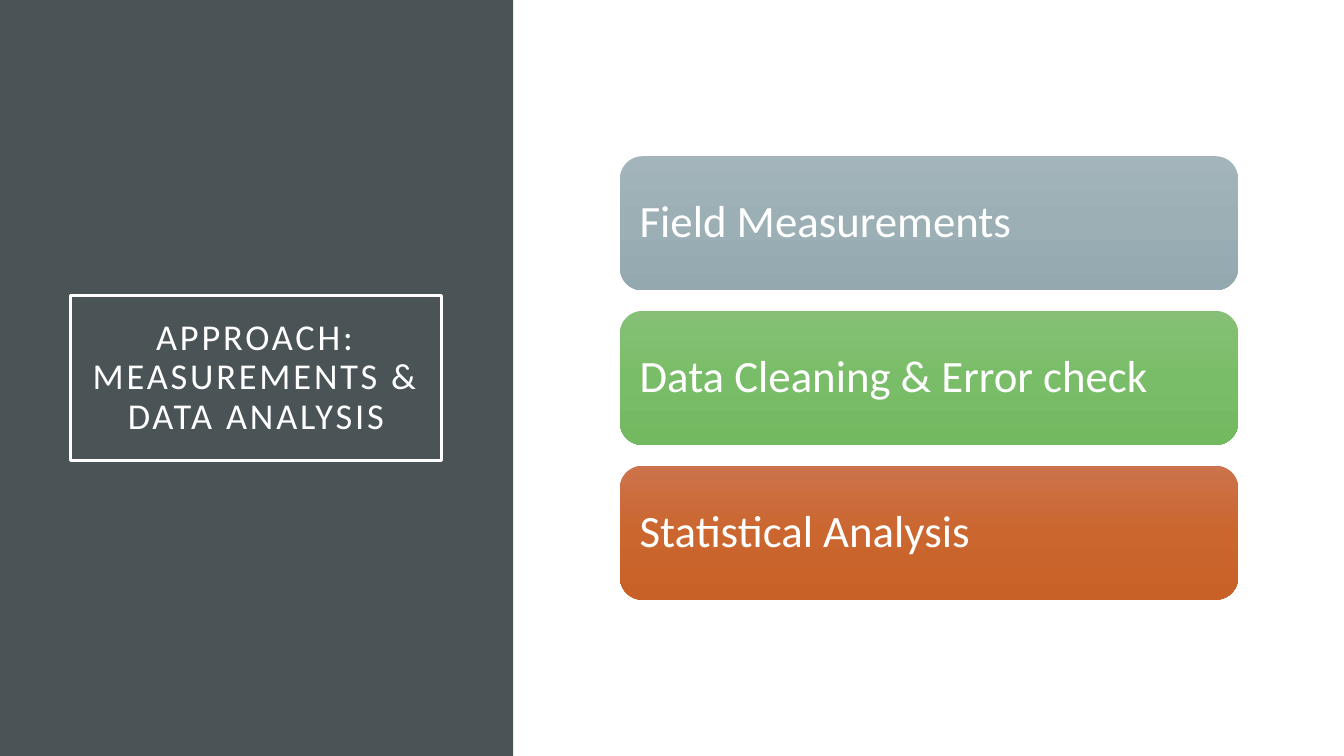
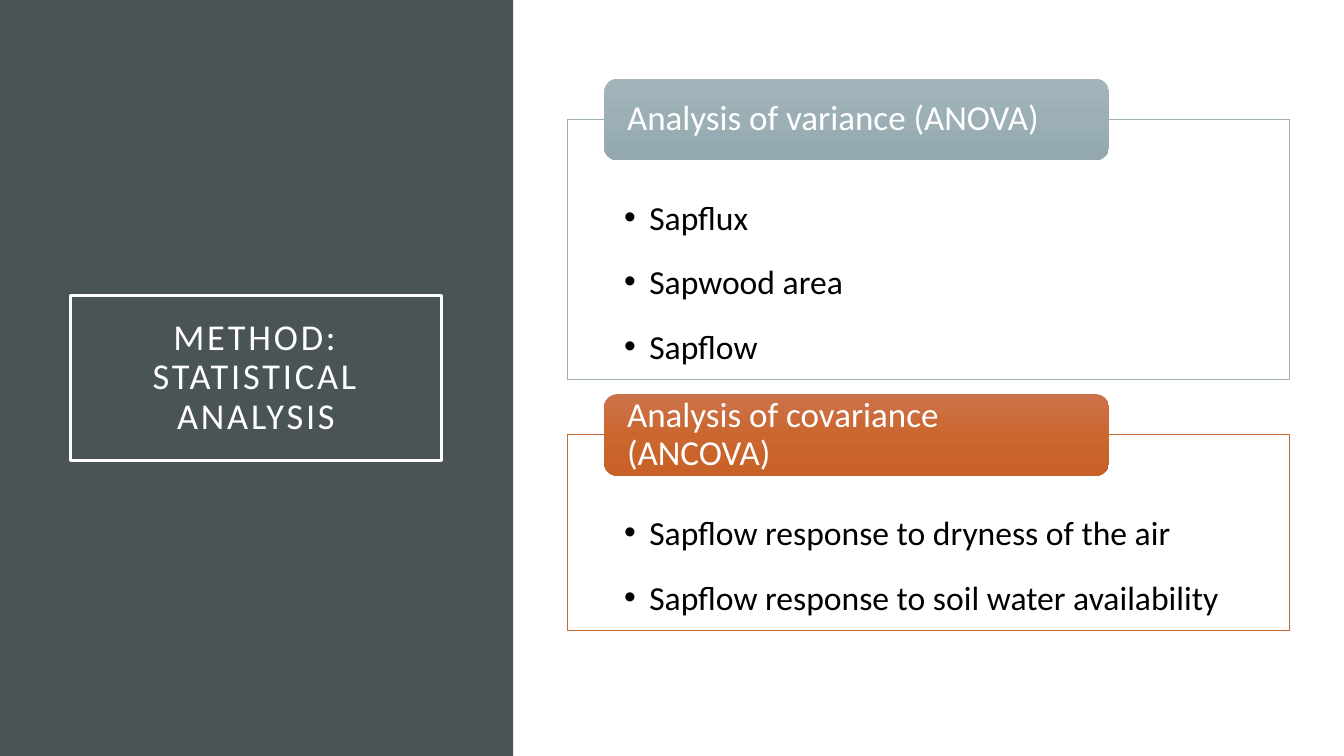
from copy import deepcopy

from lxml.etree import SubElement
from pptx import Presentation
from pptx.dml.color import RGBColor
from pptx.enum.shapes import MSO_SHAPE
from pptx.enum.text import MSO_ANCHOR, MSO_AUTO_SIZE, PP_ALIGN
from pptx.oxml.ns import qn
from pptx.util import Inches, Pt

FONT = "Calibri"
WHITE, BLACK, SLATE = "FFFFFF", "000000", "4A5356"
GRADIENTS = {
    "grey": ("A3B5BB", "9BAFB5", "93A9AF"),
    "green": ("85C076", "7ABD68", "73B960"),
    "orange": ("CC734B", "CB662F", "C86128"),
}
TITLE_ONLY, TWO_CONTENT = 5, 3

APPROACH_TITLE = "APPROACH: MEASUREMENTS & DATA ANALYSIS"
STEPS = [
    ("Field Measurements", "grey"),
    ("Data Cleaning & Error check", "green"),
    ("Statistical Analysis", "orange"),
]
METHOD_TITLE = "METHOD: STATISTICAL ANALYSIS"
# heading, gradient, frame line, frame height, bullets
METHODS = [
    ("Analysis of variance (ANOVA)", "grey", "9BAFB5", 2.58,
     ["Sapflux", "Sapwood area", "Sapflow"]),
    ("Analysis of covariance (ANCOVA)", "orange", "C96731", 1.94,
     ["Sapflow response to dryness of the air",
      "Sapflow response to soil water availability"]),
]


def color(hex_text):
    return RGBColor.from_string(hex_text)


def place(shape, left, top, width, height):
    shape.left, shape.top = Inches(left), Inches(top)
    shape.width, shape.height = Inches(width), Inches(height)


def outline(shape, hex_text, points):
    shape.line.color.rgb = color(hex_text)
    shape.line.width = Pt(points)


def set_frame(frame, anchor, left, top, right, bottom):
    """Set wrapping, anchor and insets of a text frame."""
    frame.word_wrap = True
    frame.auto_size = MSO_AUTO_SIZE.NONE
    frame.vertical_anchor = anchor
    frame.margin_left, frame.margin_top = Inches(left), Inches(top)
    frame.margin_right, frame.margin_bottom = Inches(right), Inches(bottom)


def style(para, size, hex_text, align=PP_ALIGN.LEFT, line_spacing=0.9):
    para.alignment = align
    para.line_spacing = line_spacing
    para.space_before = Pt(0)
    para.font.name = FONT
    para.font.size = Pt(size)
    para.font.color.rgb = color(hex_text)


def fill_gradient(shape, colors):
    """Fill from top to bottom with evenly spaced colours."""
    shape.fill.gradient()
    shape.fill.gradient_angle = 270
    stop_list = next(shape._element.spPr.iter(qn("a:gsLst")))
    while len(stop_list) < len(colors):
        stop_list.append(deepcopy(stop_list[0]))
    for index, (stop, hex_text) in enumerate(zip(shape.fill.gradient_stops, colors)):
        stop.position = index / (len(colors) - 1)
        stop.color.rgb = color(hex_text)


def add_page(deck, layout, title_text):
    """Add a slide with the dark side panel and the framed title."""
    page = deck.slides.add_slide(deck.slide_layouts[layout])
    panel = page.shapes.add_shape(MSO_SHAPE.RECTANGLE, 0, 0, Inches(5.09), deck.slide_height)
    panel.shadow.inherit = False
    panel.fill.solid()
    panel.fill.fore_color.rgb = color(SLATE)
    panel.line.fill.background()
    page.shapes._spTree.insert(2, panel._element)  # behind the title

    title = page.shapes.title
    place(title, 0.7, 2.93, 3.68, 1.64)
    outline(title, WHITE, 2.5)
    title.text_frame.text = title_text
    set_frame(title.text_frame, MSO_ANCHOR.MIDDLE, 0.2, 0.2, 0.2, 0.2)
    para = title.text_frame.paragraphs[0]
    style(para, 26, WHITE, PP_ALIGN.CENTER)
    para.runs[0].font._element.set("spc", "200")
    return page


def add_bar(page, text, gradient, area, size, inset_x, inset_y):
    bar = page.shapes.add_shape(MSO_SHAPE.ROUNDED_RECTANGLE, 0, 0, 0, 0)
    place(bar, *area)
    bar.shadow.inherit = False
    fill_gradient(bar, GRADIENTS[gradient])
    bar.line.fill.background()
    bar.text_frame.text = text
    set_frame(bar.text_frame, MSO_ANCHOR.MIDDLE, inset_x, inset_y, inset_x, inset_y)
    style(bar.text_frame.paragraphs[0], size, WHITE)


def add_bullet(para):
    properties = para._p.get_or_add_pPr()
    properties.set("marL", str(Inches(0.25)))
    properties.set("indent", str(-Inches(0.25)))
    SubElement(properties, qn("a:buFont"), typeface="Arial")
    SubElement(properties, qn("a:buChar"), char="•")


def fill_list(body, items, area, line_color):
    place(body, *area)
    body.fill.solid()
    body.fill.fore_color.rgb = color(WHITE)
    outline(body, line_color, 0.5)
    frame = body.text_frame
    frame.text = "\n".join(items)
    set_frame(frame, MSO_ANCHOR.TOP, 0.56, 0.57, 0.56, 0.19)
    for para in frame.paragraphs:
        add_bullet(para)
        style(para, 24, BLACK, line_spacing=1.5)
        para.space_after = Pt(3)


def build_approach(deck):
    page = add_page(deck, TITLE_ONLY, APPROACH_TITLE)
    top, height, pitch = 1.55, 1.33, 1.535
    for index, (text, gradient) in enumerate(STEPS):
        area = (6.15, top + index * pitch, 6.13, height)
        add_bar(page, text, gradient, area, 32, 0.13, 0.13)


def build_method(deck):
    page = add_page(deck, TWO_CONTENT, METHOD_TITLE)
    bodies = [body for body in page.placeholders if body.placeholder_format.idx > 0]
    top, gap, bar_height, bar_rise = 1.18, 0.55, 0.81, 0.4
    for body, (heading, gradient, line_color, height, items) in zip(bodies, METHODS):
        fill_list(body, items, (5.63, top, 7.16, height), line_color)
        add_bar(page, heading, gradient, (5.99, top - bar_rise, 5.01, bar_height), 25, 0.19, 0)
        top += height + gap


def main():
    deck = Presentation()
    deck.slide_width, deck.slide_height = Inches(13.33), Inches(7.5)
    build_approach(deck)
    build_method(deck)
    deck.save("out.pptx")


if __name__ == "__main__":
    main()
